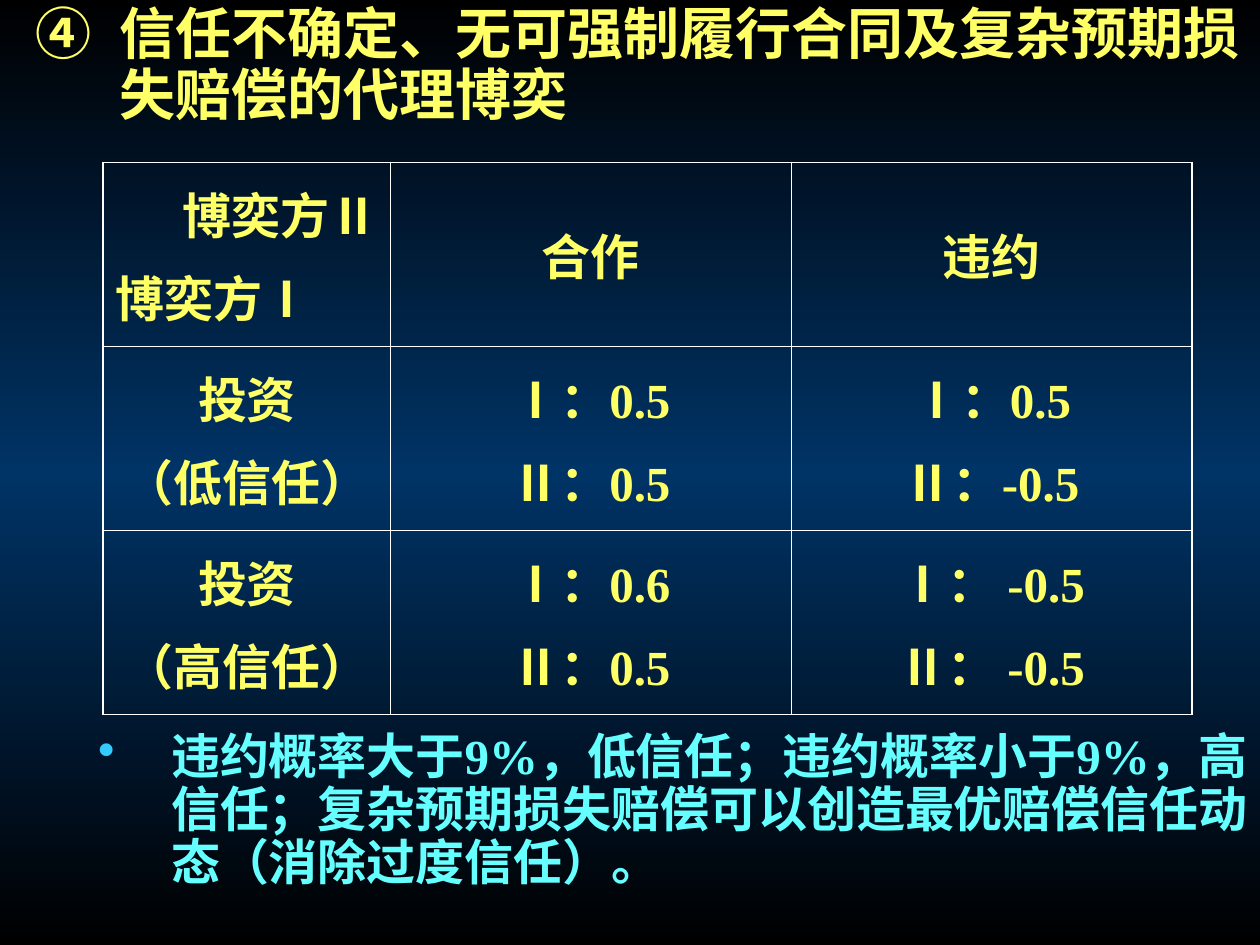
from lxml.etree import SubElement
from pptx import Presentation
from pptx.dml.color import RGBColor
from pptx.enum.text import MSO_ANCHOR, PP_ALIGN
from pptx.oxml.ns import qn
from pptx.util import Inches, Pt

COLORS = {"heading": "FFFF66", "note": "66FFFF", "bullet": "33CCFF",
          "border": "FFFFFF", "edge": "000000", "middle": "003366"}
FONT = "Times New Roman"
HEADING = "④\t信任不确定、无可强制履行合同及复杂预期损失赔偿的代理博奕"
NOTE = ("违约概率大于9%，低信任；违约概率小于9%，高信任；"
        "复杂预期损失赔偿可以创造最优赔偿信任动态（消除过度信任）。")
PAYOFFS = [
    [["博奕方Ⅱ", "博奕方Ⅰ"], ["合作"], ["违约"]],
    [["投资", "（低信任）"], ["Ⅰ：0.5", "Ⅱ：0.5"], ["Ⅰ：0.5", "Ⅱ：-0.5"]],
    [["投资", "（高信任）"], ["Ⅰ：0.6", "Ⅱ：0.5"], ["Ⅰ： -0.5", "Ⅱ： -0.5"]],
]
CORNER_ALIGNMENTS = [PP_ALIGN.RIGHT, PP_ALIGN.LEFT]
COLUMN_WIDTHS = [2.28, 3.18, 3.18]
ROW_HEIGHT = 1.46
OUTER_LINE, INNER_LINE = 1.08, 0.45
TEXT_LEFT, TEXT_WIDTH = 0.18, 9.82


def add_color(parent, color):
    return SubElement(parent, qn("a:srgbClr"), val=color)


def write(para, text, size, color):
    span = para.add_run()
    span.text = text
    for name, value in {"name": FONT, "size": Pt(size), "bold": True}.items():
        setattr(span.font, name, value)
    span.font.color.rgb = RGBColor.from_string(color)
    return span


def add_shadow(span):
    """Put a soft dark shadow behind the letters."""
    effects = SubElement(span.font._element, qn("a:effectLst"))
    shadow = SubElement(effects, qn("a:outerShdw"), dist="38100", dir="2700000")
    add_color(shadow, COLORS["edge"])
    span.font._element.find(qn("a:solidFill")).addnext(effects)


def add_paragraph_box(page, top, height, text, size, color, margin, hang, bullet=None):
    """Add a text box with one hanging paragraph."""
    box = page.shapes.add_textbox(*map(Inches, (TEXT_LEFT, top, TEXT_WIDTH, height)))
    box.text_frame.word_wrap = True
    para = box.text_frame.paragraphs[0]
    properties = para._p.get_or_add_pPr()
    properties.set("marL", str(Inches(margin)))
    properties.set("indent", str(-Inches(hang)))
    if bullet:
        add_color(SubElement(properties, qn("a:buClr")), COLORS["bullet"])
        SubElement(properties, qn("a:buChar"), char=bullet)
    para.line_spacing = 0.9
    add_shadow(write(para, text, size, color))


def add_border(cell, side, width):
    line = SubElement(cell._tc.get_or_add_tcPr(), qn(f"a:{side}"), w=str(Pt(width)))
    add_color(SubElement(line, qn("a:solidFill")), COLORS["border"])


def paint_background(page):
    fill = page.background.fill
    fill.gradient()
    fill.gradient_angle = 270
    stops = next(page._element.iter(qn("a:gsLst")))
    for stop in list(stops):
        stops.remove(stop)
    for share, name in [(0, "edge"), (50, "middle"), (100, "edge")]:
        add_color(SubElement(stops, qn("a:gs"), pos=str(share * 1000)), COLORS[name])


def add_payoff_table(page):
    last_row, last_column = len(PAYOFFS) - 1, len(COLUMN_WIDTHS) - 1
    place = (0.82, 1.29, sum(COLUMN_WIDTHS), ROW_HEIGHT * len(PAYOFFS))
    table = page.shapes.add_table(len(PAYOFFS), len(COLUMN_WIDTHS),
                                  *map(Inches, place)).table
    table.first_row = table.horz_banding = False
    for column, width in zip(table.columns, COLUMN_WIDTHS):
        column.width = Inches(width)
    for row_index, row in enumerate(PAYOFFS):
        table.rows[row_index].height = Inches(ROW_HEIGHT)
        for column_index, lines in enumerate(row):
            cell = table.cell(row_index, column_index)
            outer = {"lnL": column_index == 0, "lnR": column_index == last_column,
                     "lnT": row_index == 0, "lnB": row_index == last_row}
            for side, is_outer in outer.items():
                add_border(cell, side, OUTER_LINE if is_outer else INNER_LINE)
            cell.fill.background()
            cell.vertical_anchor = MSO_ANCHOR.MIDDLE
            is_corner = row_index == column_index == 0
            for index, text in enumerate(lines):
                frame = cell.text_frame
                para = frame.add_paragraph() if index else frame.paragraphs[0]
                para.alignment = CORNER_ALIGNMENTS[index] if is_corner else PP_ALIGN.CENTER
                if index:
                    para.space_before = Pt(7)
                write(para, text, 28, COLORS["heading"])


def main():
    deck = Presentation()
    deck.slide_width, deck.slide_height = Inches(10), Inches(7.5)
    page = deck.slides.add_slide(deck.slide_layouts[6])
    paint_background(page)
    add_paragraph_box(page, 0, 1.2, HEADING, 32, COLORS["heading"], 0.67, 0.67)
    add_payoff_table(page)
    add_paragraph_box(page, 5.76, 1.5, NOTE, 28, COLORS["note"], 1.08, 0.58, "•")
    deck.save("out.pptx")


if __name__ == "__main__":
    main()
